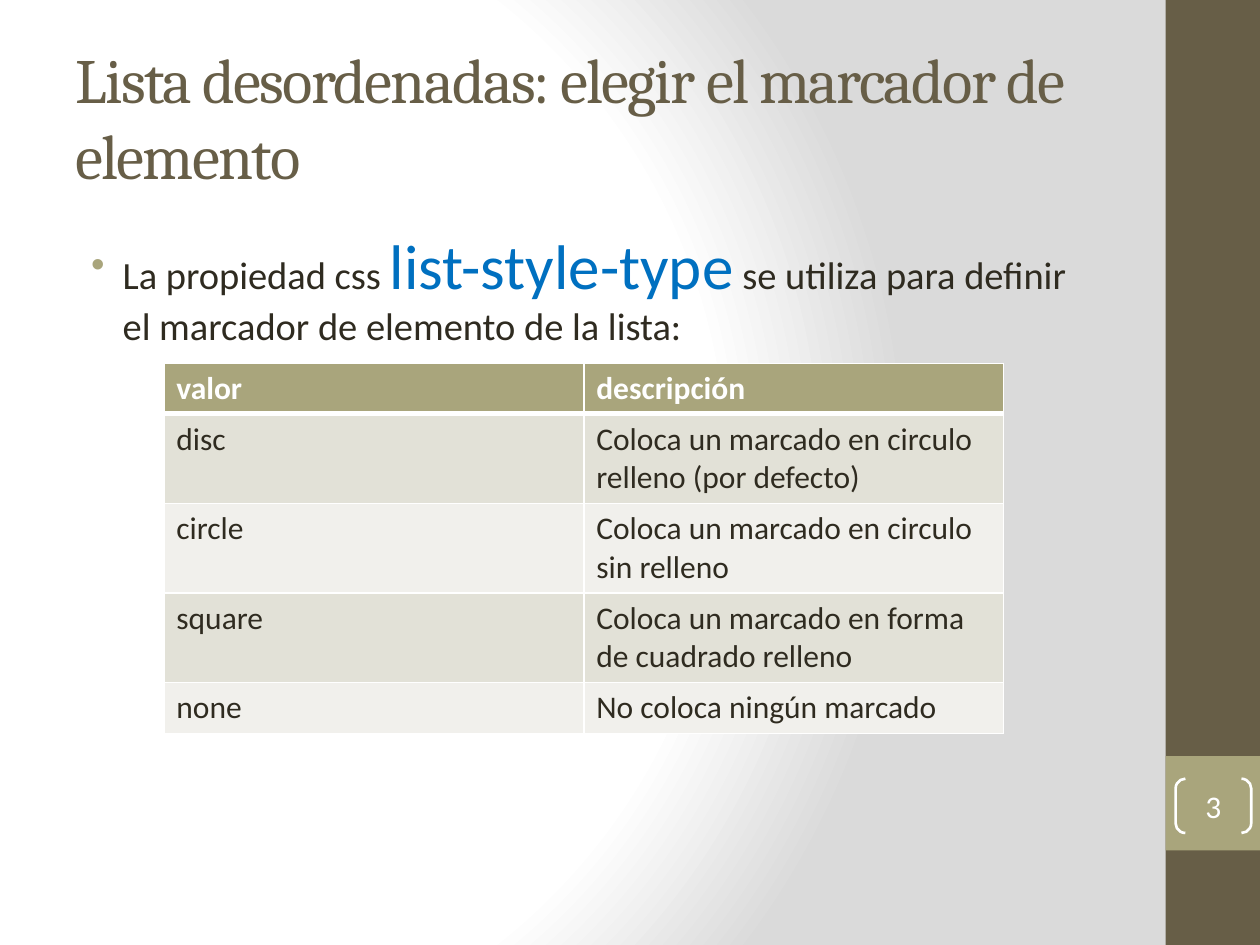
from dataclasses import dataclass

from lxml.etree import SubElement
from pptx import Presentation
from pptx.dml.color import RGBColor
from pptx.enum.shapes import MSO_SHAPE
from pptx.enum.text import MSO_ANCHOR, MSO_AUTO_SIZE, PP_ALIGN
from pptx.oxml.ns import qn
from pptx.util import Pt


@dataclass(frozen=True)
class Theme:
    heading_font: str = "Cambria"
    body_font: str = "Calibri"
    dark: str = "675E47"
    accent: str = "A9A57C"
    text: str = "2F2B20"
    highlight: str = "0070C0"
    white: str = "FFFFFF"
    shade: str = "DADADA"
    bands: tuple = ("E2E1D7", "F1F0EC")
    title_size: int = 36
    body_size: int = 22
    small_size: int = 18


THEME = Theme()


def style_font(font, size, color, name=THEME.body_font, bold=False):
    font.name, font.size, font.bold = name, Pt(size), bold
    font.color.rgb = RGBColor.from_string(color)


def add_color(parent, color):
    SubElement(parent, qn("a:srgbClr"), val=color)


def add_background(slide):
    """Radial gradient that stays white over three quarters of its range."""
    slide.background.fill.gradient()
    gradient = slide.element.find(".//" + qn("a:gradFill"))
    for child in list(gradient):
        gradient.remove(child)
    stops = SubElement(gradient, qn("a:gsLst"))
    for percent, color in ((0, THEME.white), (75, THEME.white), (100, THEME.shade)):
        add_color(SubElement(stops, qn("a:gs"), pos=str(percent * 1000)), color)
    circle = SubElement(gradient, qn("a:path"), {"path": "circle"})
    SubElement(circle, qn("a:fillToRect"), l="20000", t="50000", r="100000", b="50000")


def add_block(slide, kind, left, top, width, height, fill=None):
    shape = slide.shapes.add_shape(kind, Pt(left), Pt(top), Pt(width), Pt(height))
    shape.shadow.inherit = False
    shape.line.fill.background()
    if fill:
        shape.fill.solid()
        shape.fill.fore_color.rgb = RGBColor.from_string(fill)
    else:
        shape.fill.background()
    return shape


def add_sidebar(slide, left, top, width, height, number):
    """Dark side band with the page number in brackets."""
    add_block(slide, MSO_SHAPE.RECTANGLE, left, top, width, height, THEME.dark)
    badge_top = top + 0.8 * height
    add_block(slide, MSO_SHAPE.RECTANGLE, left, badge_top, width, width, THEME.accent)

    brackets = add_block(slide, MSO_SHAPE.DOUBLE_BRACKET,
                         left + 5.8, badge_top + 13, 43.2, 31)
    brackets.adjustments[0] = 0.18
    brackets.line.color.rgb = RGBColor.from_string(THEME.white)
    brackets.line.width = Pt(1.5)
    frame = brackets.text_frame
    frame.margin_left = frame.margin_right = frame.margin_top = frame.margin_bottom = 0
    frame.vertical_anchor = MSO_ANCHOR.MIDDLE
    paragraph = frame.paragraphs[0]
    paragraph.text = number
    paragraph.alignment = PP_ALIGN.CENTER
    style_font(paragraph.font, THEME.small_size, THEME.white)


def add_title(slide, left, top, width, height, text):
    title = slide.shapes.title
    title.left, title.top, title.width, title.height = map(Pt, (left, top, width, height))
    frame = title.text_frame
    frame.text = text
    frame.auto_size = MSO_AUTO_SIZE.NONE
    frame.vertical_anchor = MSO_ANCHOR.MIDDLE
    paragraph = frame.paragraphs[0]
    paragraph.alignment = PP_ALIGN.LEFT
    style_font(paragraph.font, THEME.title_size, THEME.dark, THEME.heading_font)
    # Slightly tightened letter spacing
    paragraph.runs[0].font._element.set("spc", "-100")


def add_bullet_text(slide, left, top, width, height, parts):
    """One bulleted paragraph made of (text, size, color) parts."""
    box = slide.shapes.add_textbox(Pt(left), Pt(top), Pt(width), Pt(height))
    box.text_frame.word_wrap = True
    paragraph = box.text_frame.paragraphs[0]
    paragraph.space_before = Pt(4.4)
    for text, size, color in parts:
        run = paragraph.add_run()
        run.text = text
        style_font(run.font, size, color)
    # Hanging bullet
    properties = paragraph._p.get_or_add_pPr()
    properties.set("marL", str(Pt(27)))
    properties.set("indent", str(Pt(-18)))
    add_color(SubElement(properties, qn("a:buClr")), THEME.accent)
    SubElement(properties, qn("a:buFont"), typeface="Arial")
    SubElement(properties, qn("a:buChar"), char="•")


def format_cell(cell, text, fill, color, bold, bottom_width):
    cell.text = text
    style_font(cell.text_frame.paragraphs[0].font, THEME.small_size, color, bold=bold)
    # Borders come before the fill in the cell properties
    properties = cell._tc.get_or_add_tcPr()
    for side, width in (("L", 1), ("R", 1), ("T", 1), ("B", bottom_width)):
        border = SubElement(properties, qn(f"a:ln{side}"), w=str(Pt(width)))
        add_color(SubElement(border, qn("a:solidFill")), THEME.white)
    cell.fill.solid()
    cell.fill.fore_color.rgb = RGBColor.from_string(fill)


def add_value_table(slide, left, top, width, row_heights, rows):
    table = slide.shapes.add_table(len(rows), len(rows[0]), Pt(left), Pt(top),
                                   Pt(width), Pt(sum(row_heights))).table
    for index, (texts, height) in enumerate(zip(rows, row_heights)):
        table.rows[index].height = Pt(height)
        header = index == 0
        fill = THEME.accent if header else THEME.bands[(index - 1) % 2]
        color = THEME.white if header else THEME.text
        for column, text in enumerate(texts):
            # The thick header rule is shared with the first body row
            format_cell(table.cell(index, column), text, fill, color, header,
                        3 if header else 1)
            if index == 1:
                top_border = table.cell(index, column)._tc.tcPr.find(qn("a:lnT"))
                top_border.set("w", str(Pt(3)))


def build_list_slide(presentation):
    slide = presentation.slides.add_slide(presentation.slide_layouts[5])
    add_background(slide)
    add_sidebar(slide, 666, 0, 54, 540, "3")
    add_title(slide, 36, 21.6, 600, 90,
              "Lista desordenadas: elegir el marcador de elemento")
    add_bullet_text(slide, 36, 126, 600, 378, [
        ("La propiedad css ", THEME.body_size, THEME.text),
        ("list-style-type", THEME.title_size, THEME.highlight),
        (" se utiliza para definir el marcador de elemento de la lista:",
         THEME.body_size, THEME.text),
    ])
    add_value_table(slide, 93.6, 207.6, 480, (28, 51.2, 51.2, 51.2, 29.2), [
        ("valor", "descripción"),
        ("disc", "Coloca un marcado en circulo relleno (por defecto)"),
        ("circle", "Coloca un marcado en circulo sin relleno"),
        ("square", "Coloca un marcado en forma de cuadrado relleno"),
        ("none", "No coloca ningún marcado"),
    ])


presentation = Presentation()
presentation.slide_width, presentation.slide_height = Pt(720), Pt(540)
build_list_slide(presentation)
presentation.save("out.pptx")
